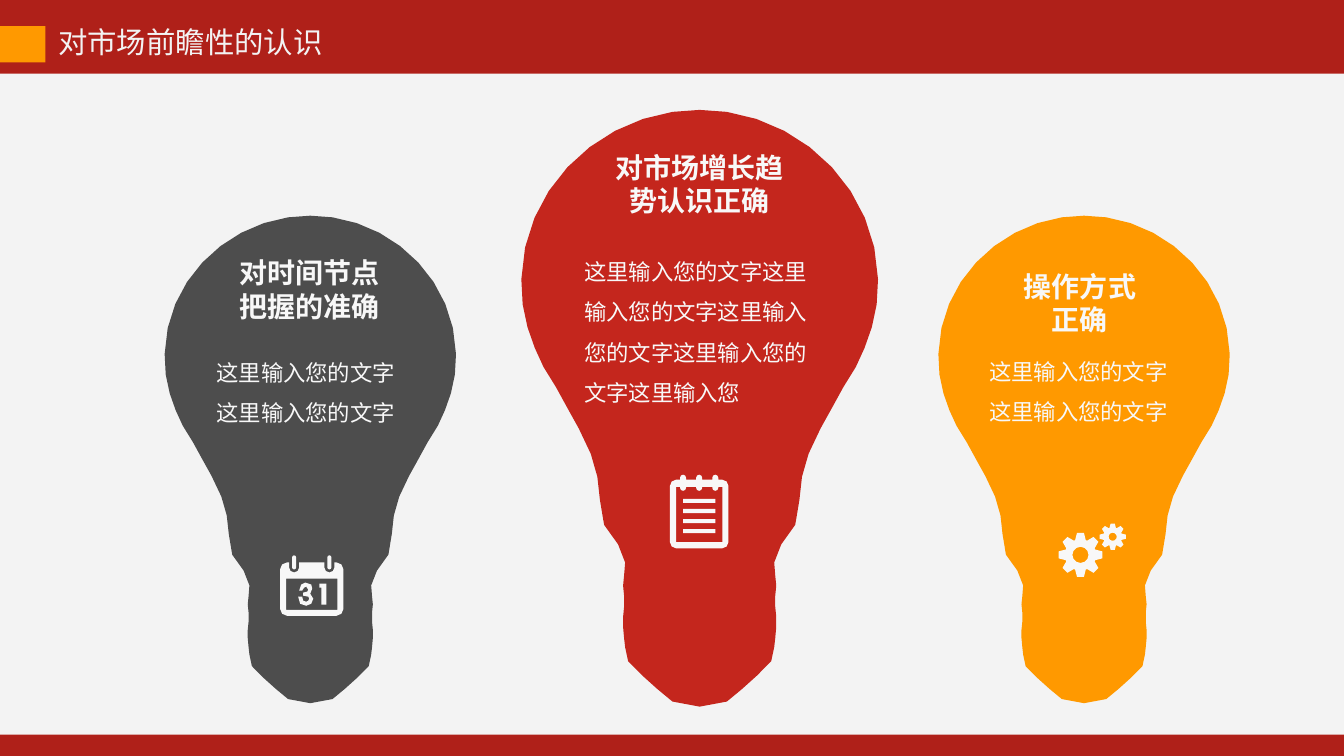
from math import cos, dist, radians, sin

from lxml.etree import SubElement
from pptx import Presentation
from pptx.dml.color import RGBColor
from pptx.enum.shapes import MSO_SHAPE
from pptx.enum.text import MSO_AUTO_SIZE, PP_ALIGN
from pptx.oxml.ns import qn
from pptx.util import Pt

PX = 9144  # 100 px to the inch
FONT = "Noto Sans CJK SC"
COLORS = {
    "frame": "AF2019", "panel": "F3F3F3", "orange": "FF9900",
    "gray": "4D4D4D", "red": "C4261D", "white": "F8F8F8",
}
BULB_WIDTH = 355
# Right half of a bulb from top to bottom: two control points and an end point per curve
BULB_CURVES = [
    ((9, 0), (18, 0), (27, 2)),
    ((107, 14), (175, 81), (177, 168)),
    ((178, 203), (167, 231), (155, 255)),
    ((143, 272), (129, 301), (120, 316)),
    ((105, 343), (100, 363), (99, 387)),
    ((99, 405), (94, 420), (81, 431)),
    ((73, 436), (69, 442), (74, 449)),
    ((78, 453), (80, 458), (75, 462)),
    ((69, 466), (72, 469), (76, 472)),
    ((82, 477), (80, 480), (75, 482)),
    ((68, 485), (68, 490), (75, 493)),
    ((84, 496), (83, 500), (76, 503)),
    ((67, 506), (69, 509), (76, 513)),
    ((82, 516), (81, 520), (75, 524)),
    ((69, 527), (71, 530), (74, 533)),
    ((79, 537), (75, 542), (71, 547)),
    ((57, 562), (42, 575), (27, 587)),
    ((18, 591), (9, 592), (0, 592)),
]
DIGIT_3 = [
    (308, 589), (310, 584), (309, 580), (303, 578), (299, 580), (297, 586),
    (300, 586), (302, 583), (304, 582), (306, 585), (305, 587), (301, 588),
    (301, 591), (306, 592), (307, 594), (306, 596), (304, 597), (301, 596),
    (300, 592), (296, 592), (298, 599), (304, 601), (309, 599), (311, 594),
]
DIGIT_1 = [(317, 579), (324, 579), (324, 600), (319, 600), (319, 583), (317, 583)]


def color(name):
    return RGBColor.from_string(COLORS[name])


def paint(sp, fill):
    sp.fill.solid()
    sp.fill.fore_color.rgb = color(fill)
    sp.line.fill.background()
    sp.shadow.inherit = False


def add_rect(slide, box, fill):
    paint(slide.shapes.add_shape(MSO_SHAPE.RECTANGLE, *[v * PX for v in box]), fill)


def add_outline(slide, contours, fill):
    """Draw closed contours as one shape; a contour inside another is a hole."""
    contours = [[(x * PX, y * PX) for x, y in c] for c in contours]
    builder = slide.shapes.build_freeform(*contours[0][0], scale=1.0)
    for i, (start, *rest) in enumerate(contours):
        if i:
            builder.move_to(*start)
        builder.add_line_segments(rest, close=True)
    paint(builder.convert_to_shape(), fill)


def add_text(slide, box, lines, size, fill="white", bold=False,
             align=PP_ALIGN.LEFT, spacing=None, wrap=False):
    tf = slide.shapes.add_textbox(*[v * PX for v in box]).text_frame
    tf.word_wrap = wrap
    tf.auto_size = MSO_AUTO_SIZE.SHAPE_TO_FIT_TEXT
    tf.text = "\n".join(lines)
    for p in tf.paragraphs:
        p.alignment = align
        if spacing:
            p.line_spacing = spacing
        p.font.size = Pt(size)
        p.font.bold = bold
        p.font.color.rgb = color(fill)
        p.font.name = FONT
        props = p._p.get_or_add_pPr().get_or_add_defRPr()
        SubElement(props, qn("a:ea")).set("typeface", FONT)


def add_heading(slide, box, lines, align=PP_ALIGN.CENTER):
    add_text(slide, box, lines, 20, bold=True, align=align)


def add_body(slide, box, text):
    add_text(slide, box, [text], 16, spacing=1.5, wrap=True)


def add_bulb(slide, left, top, width, fill):
    half, start = [(0, 0)], (0, 0)
    for c1, c2, end in BULB_CURVES:
        steps = 1 + int(dist(start, end) / 28)
        for t in (k / steps for k in range(1, steps + 1)):
            weights = ((1 - t) ** 3, 3 * t * (1 - t) ** 2, 3 * t * t * (1 - t), t ** 3)
            half.append(tuple(sum(w * pt[axis] for w, pt in zip(weights, (start, c1, c2, end)))
                              for axis in (0, 1)))
        start = end
    ring = half + [(-x, y) for x, y in half[-2:0:-1]]
    k = width / BULB_WIDTH
    add_outline(slide, [[(left + width / 2 + x * k, top + y * k) for x, y in ring]], fill)


def arc(cx, cy, r, start, end, steps=2):
    if not r:
        return [(cx, cy)]
    angles = [radians(start + (end - start) * i / steps) for i in range(steps + 1)]
    return [(cx + r * cos(a), cy + r * sin(a)) for a in angles]


def panel(left, top, right, bottom, r=0, tabs=(), tab_y=0, half=0):
    """Rounded rectangle whose top edge goes up or down to tab_y at each tab."""
    pts = arc(left + r, top + r, r, 180, 270)
    turn = 1 if tab_y > top else -1
    for x in tabs:
        pts += [(x - half, top)]
        pts += arc(x, tab_y - turn * half, half, 180, 180 - 180 * turn, 4)
        pts += [(x + half, top)]
    return (pts + arc(right - r, top + r, r, 270, 360)
            + arc(right - r, bottom - r, r, 0, 90)
            + arc(left + r, bottom - r, r, 90, 180))


def add_calendar(slide):
    rings = (292, 327)
    contours = [panel(278, 558, 341, 611, 7, rings, 568, 5),
                panel(284, 574, 335, 605), DIGIT_3, DIGIT_1]
    contours += [panel(x - 2, 551, x + 2, 565, 2) for x in rings]
    add_outline(slide, contours, "white")


def add_notepad(slide):
    rings = (678, 694, 710)
    contours = [panel(665, 476, 723, 544, 6, rings, 471, 3),
                panel(671, 483, 717, 538, 0, rings, 487, 3)]
    contours += [panel(678, y, 710, y + 4) for y in range(495, 526, 10)]
    add_outline(slide, contours, "white")


def add_gear(slide, left, top, size, hole):
    r = size / 2
    cx, cy = left + r, top + r
    tooth = ((-20, 0.69), (-9, 0.98), (9, 0.98), (20, 0.69))
    rim = [(cx + r * k * cos(radians(a + turn)), cy + r * k * sin(radians(a + turn)))
           for a in range(0, 360, 45) for turn, k in tooth]
    add_outline(slide, [rim, arc(cx, cy, hole, 0, 330, 11)], "white")


def main():
    prs = Presentation()
    prs.slide_width, prs.slide_height = 1334 * PX, 750 * PX
    slide = prs.slides.add_slide(prs.slide_layouts[6])
    slide.background.fill.solid()
    slide.background.fill.fore_color.rgb = color("frame")

    add_rect(slide, (0, 73, 1334, 656), "panel")
    add_text(slide, (48, 19, 290, 46), ["对市场前瞻性的认识"], 21, "panel")
    add_rect(slide, (0, 26, 45, 36), "orange")

    add_bulb(slide, 163, 214, 290, "gray")
    add_bulb(slide, 517, 109, BULB_WIDTH, "red")
    add_bulb(slide, 931, 214, 290, "orange")

    add_heading(slide, (600, 144, 188, 77), ["对市场增长趋", "势认识正确"])
    add_body(slide, (570, 238, 247, 172),
             "这里输入您的文字这里输入您的文字这里输入您的文字这里输入您的文字这里输入您")
    add_heading(slide, (228, 249, 160, 77), ["对时间节点", "把握的准确"], PP_ALIGN.LEFT)
    add_body(slide, (205, 338, 206, 91), "这里输入您的文字这里输入您的文字")
    add_heading(slide, (1006, 262, 132, 77), ["操作方式", "正确"])
    add_body(slide, (972, 337, 206, 91), "这里输入您的文字这里输入您的文字")

    add_calendar(slide)
    add_notepad(slide)
    add_gear(slide, 1091, 519, 27, 4)
    add_gear(slide, 1050, 528, 45, 8)
    prs.save("out.pptx")


if __name__ == "__main__":
    main()
